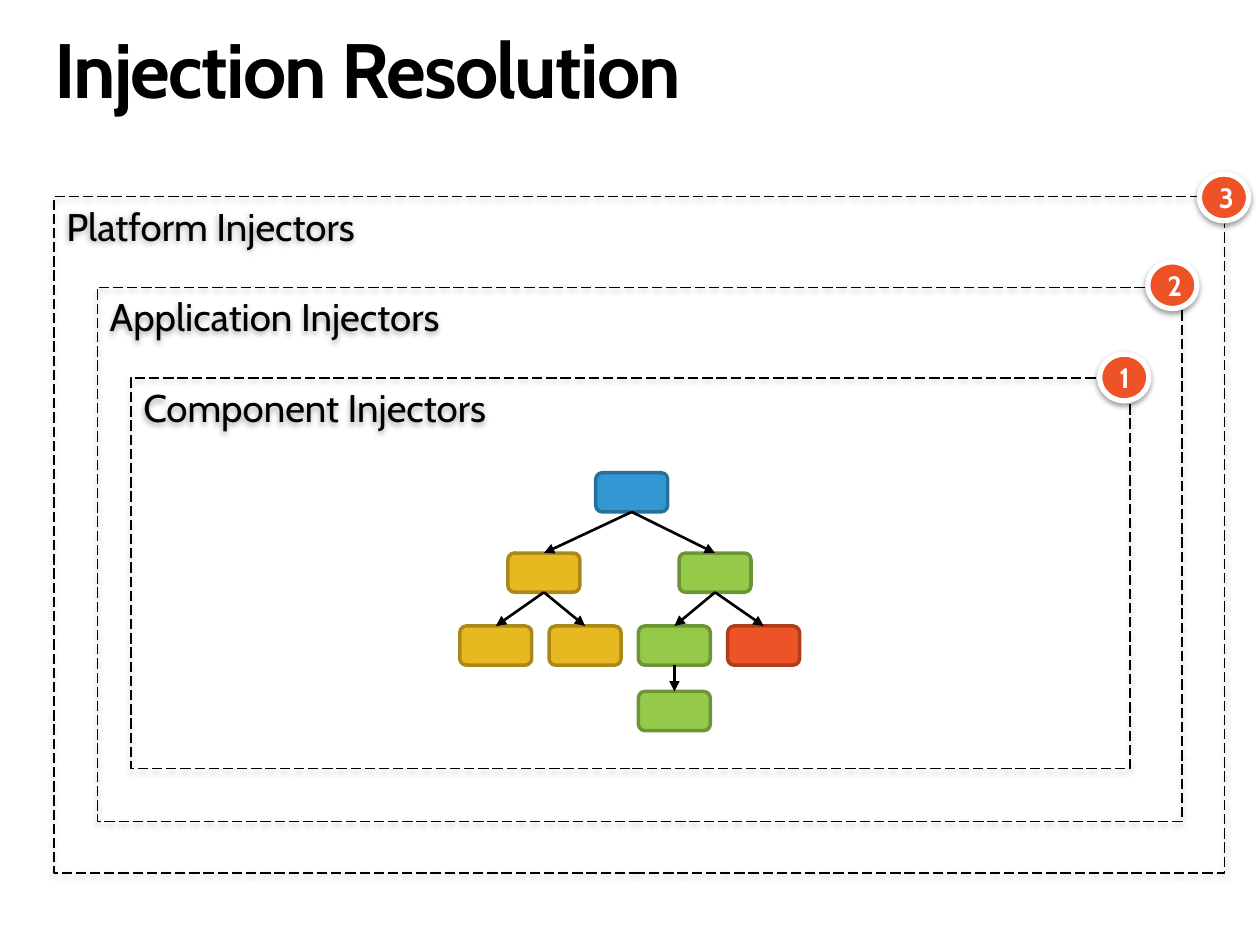
from pptx import Presentation
from pptx.dml.color import RGBColor
from pptx.enum.dml import MSO_LINE
from pptx.enum.shapes import MSO_CONNECTOR, MSO_SHAPE
from pptx.enum.text import MSO_ANCHOR, MSO_AUTO_SIZE, PP_ALIGN
from pptx.oxml import parse_xml
from pptx.oxml.ns import nsdecls
from pptx.oxml.xmlchemy import OxmlElement
from pptx.util import Cm, Pt

BLACK = RGBColor(0x00, 0x00, 0x00)
WHITE = RGBColor(0xFF, 0xFF, 0xFF)
RED = RGBColor(0xED, 0x53, 0x26)
DARK_RED = RGBColor(0xAF, 0x3D, 0x1C)
BLUE = RGBColor(0x33, 0x97, 0xD3)
DARK_BLUE = RGBColor(0x26, 0x70, 0x9C)
YELLOW = RGBColor(0xE7, 0xB9, 0x21)
DARK_YELLOW = RGBColor(0xAB, 0x89, 0x18)
GREEN = RGBColor(0x94, 0xC9, 0x49)
DARK_GREEN = RGBColor(0x6D, 0x95, 0x36)

prs = Presentation()
prs.slide_width, prs.slide_height = Cm(25.4), Cm(19.05)
s = prs.slides.add_slide(prs.slide_layouts[6])


def add_box(kind, box, fill, line, width, shadow=None):
    """Add a preset shape; shadow is (alpha %, distance in points)."""
    sp = s.shapes.add_shape(kind, *map(Cm, box))
    if fill is None:
        sp.fill.background()
    else:
        sp.fill.solid()
        sp.fill.fore_color.rgb = fill
    sp.line.color.rgb = line
    sp.line.width = Pt(width)
    sp.shadow.inherit = False
    if shadow:
        alpha, dist = shadow
        sp._element.spPr.find(".//{*}effectLst").append(parse_xml(
            f'<a:outerShdw {nsdecls("a")} blurRad="{Pt(3.1)}" dist="{Pt(dist)}"'
            ' dir="5400000" rotWithShape="0"><a:srgbClr val="000000">'
            f'<a:alpha val="{alpha * 1000}"/></a:srgbClr></a:outerShdw>'))
    return sp


def add_text(sp, text, color, align, anchor, font):
    """Write one paragraph with the given font values."""
    tf = sp.text_frame
    tf.word_wrap = True
    tf.vertical_anchor = anchor
    p = tf.paragraphs[0]
    p.alignment = align
    r = p.add_run()
    r.text = text
    r.font.color.rgb = color
    for name, value in {"name": "Cabin", **font}.items():
        setattr(r.font, name, value)
    return p, r


# Title
sp = s.shapes.add_textbox(Cm(1.09), Cm(0.64), Cm(23.24), Cm(1.7))
tf = sp.text_frame
for side in ("left", "top", "right", "bottom"):
    setattr(tf, f"margin_{side}", 0)
tf.auto_size = MSO_AUTO_SIZE.SHAPE_TO_FIT_TEXT
p, r = add_text(sp, "Injection Resolution", BLACK, PP_ALIGN.LEFT, MSO_ANCHOR.TOP,
                {"size": Pt(44), "bold": True})
p.line_spacing = 0.9
r.font._element.set("spc", "-100")

# Nested scopes, each with a numbered badge on its top right corner
scopes = [
    ("Platform Injectors", (1.09, 3.96, 23.6, 13.64), "3", (24.18, 3.51)),
    ("Application Injectors", (1.96, 5.79, 21.87, 10.77), "2", (23.14, 5.28)),
    ("Component Injectors", (2.64, 7.62, 20.14, 7.87), "1", (22.17, 7.14)),
]
for label, frame, number, corner in scopes:
    sp = add_box(MSO_SHAPE.RECTANGLE, frame, None, BLACK, 0.75, (35, 1.8))
    sp.line.dash_style = MSO_LINE.LONG_DASH
    add_text(sp, label, BLACK, PP_ALIGN.LEFT, MSO_ANCHOR.TOP, {"size": Pt(22)})

    sp = add_box(MSO_SHAPE.OVAL, (*corner, 0.99, 0.94), RED, WHITE, 3, (38, 1.6))
    add_text(sp, number, WHITE, PP_ALIGN.CENTER, MSO_ANCHOR.MIDDLE,
             {"size": Pt(16), "bold": True})

# Component tree
LEAF_LEFT, LEAF_STEP, LEAF_TOP = 9.27, 1.8, 12.62
leaf_x = [LEAF_LEFT + i * LEAF_STEP for i in range(4)]
nodes = {
    "root": (12.01, 9.53, BLUE, DARK_BLUE),
    "left": (10.24, 11.15, YELLOW, DARK_YELLOW),
    "right": (13.69, 11.15, GREEN, DARK_GREEN),
    "leaf 1": (leaf_x[0], LEAF_TOP, YELLOW, DARK_YELLOW),
    "leaf 2": (leaf_x[1], LEAF_TOP, YELLOW, DARK_YELLOW),
    "leaf 3": (leaf_x[2], LEAF_TOP, GREEN, DARK_GREEN),
    "leaf 4": (leaf_x[3], LEAF_TOP, RED, DARK_RED),
    "bottom": (leaf_x[2], 13.94, GREEN, DARK_GREEN),
}
boxes = {name: add_box(MSO_SHAPE.ROUNDED_RECTANGLE, (x, y, 1.45, 0.79), fill, line, 2)
         for name, (x, y, fill, line) in nodes.items()}

# Arrows from the bottom of each parent to the top of its child
edges = [("root", "left"), ("root", "right"), ("left", "leaf 1"), ("left", "leaf 2"),
         ("right", "leaf 3"), ("right", "leaf 4"), ("leaf 3", "bottom")]
for parent, child in edges:
    sp = s.shapes.add_connector(MSO_CONNECTOR.STRAIGHT, 0, 0, 0, 0)
    sp.begin_connect(boxes[parent], 2)
    sp.end_connect(boxes[child], 0)
    sp.line.color.rgb = BLACK
    sp.line.width = Pt(1.5)
    tail = OxmlElement("a:tailEnd")
    tail.set("type", "triangle")
    sp.line._get_or_add_ln().append(tail)
    sp._element.spPr.append(OxmlElement("a:effectLst"))

prs.save("out.pptx")
